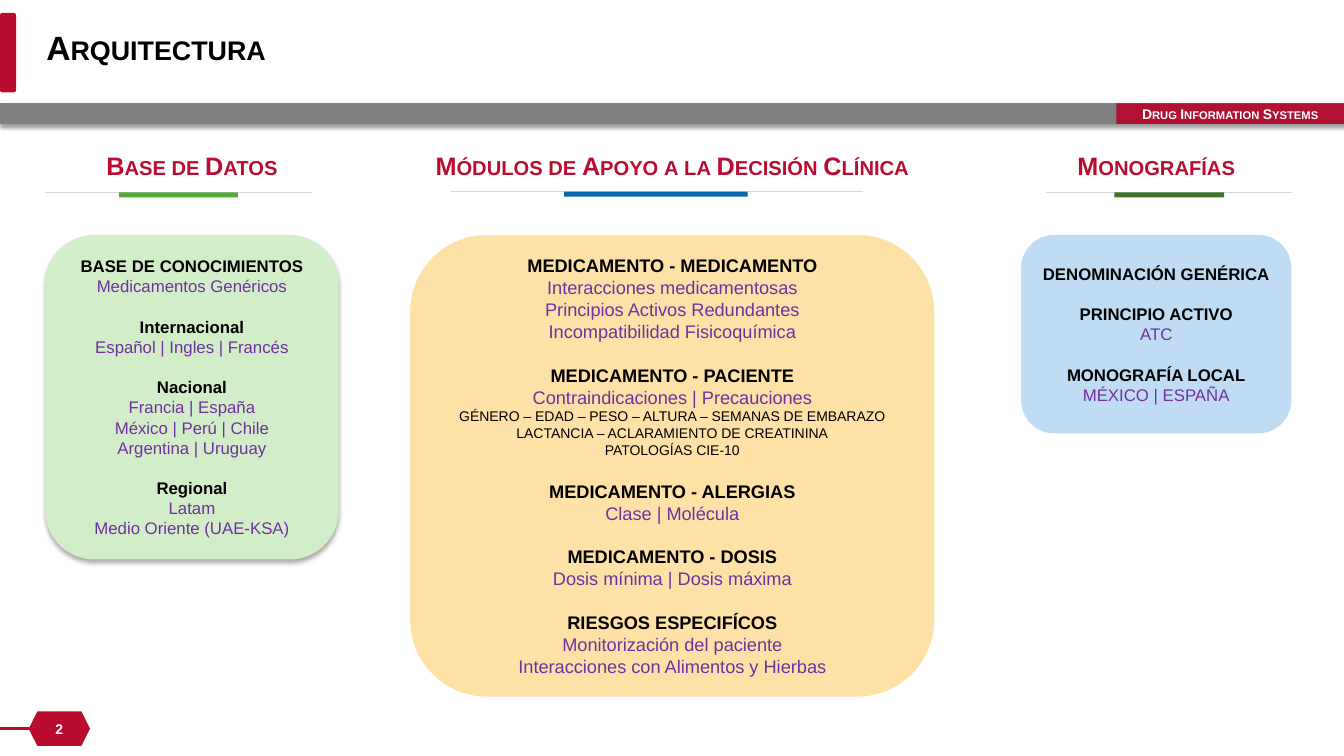
from pptx import Presentation
from pptx.dml.color import RGBColor
from pptx.enum.shapes import MSO_CONNECTOR as Connector, MSO_SHAPE as Shape
from pptx.enum.text import MSO_ANCHOR as Anchor, PP_ALIGN as Align
from pptx.oxml import parse_xml
from pptx.oxml.ns import nsdecls
from pptx.util import Pt

RED, BLACK, WHITE, PURPLE = "BA0C2F", "000000", "FFFFFF", "7030A0"
GRAY, LIGHT_GRAY, LABEL_RED = "808080", "D9D9D9", "B11133"
COLUMN_TOP = 167.8

# Each group: bold heading, purple entries, small black details.
DATABASE = [
    ("BASE DE CONOCIMIENTOS", ["Medicamentos Genéricos"], []),
    ("Internacional", ["Español | Ingles | Francés"], []),
    ("Nacional", ["Francia | España", "México | Perú | Chile", "Argentina | Uruguay"], []),
    ("Regional", ["Latam", "Medio Oriente (UAE-KSA)"], []),
]
MODULES = [
    ("MEDICAMENTO - MEDICAMENTO",
     ["Interacciones medicamentosas", "Principios Activos Redundantes",
      "Incompatibilidad Fisicoquímica"], []),
    ("MEDICAMENTO - PACIENTE", ["Contraindicaciones | Precauciones"],
     ["GÉNERO – EDAD – PESO – ALTURA – SEMANAS DE EMBARAZO",
      "LACTANCIA – ACLARAMIENTO DE CREATININA", "PATOLOGÍAS CIE-10"]),
    ("MEDICAMENTO - ALERGIAS", ["Clase | Molécula"], []),
    ("MEDICAMENTO - DOSIS", ["Dosis mínima | Dosis máxima"], []),
    ("RIESGOS ESPECIFÍCOS",
     ["Monitorización del paciente", "Interacciones con Alimentos y Hierbas"], []),
]
MONOGRAPHS = [
    ("DENOMINACIÓN GENÉRICA", [], []),
    ("PRINCIPIO ACTIVO", ["ATC"], []),
    ("MONOGRAFÍA LOCAL", ["MÉXICO | ESPAÑA"], []),
]
# Title, left, width, height, fill, text size, groups, box shadow,
# then the rule: left, width, top, and the accent: left, width, colour.
COLUMNS = [
    ("Base de Datos", 32.4, 209.5, 231.8, "D2EEC9", 12, DATABASE, (32, 3.5, 2.2),
     (32.4, 190.8, 137.4), (85, 85, "53AA37")),
    ("Módulos de Apoyo a la Decisión Clínica", 293, 374.4, 329.8, "FEE1A6", 13, MODULES, None,
     (321.3, 295, 136.8), (403, 131, "0768A9")),
    ("Monografías", 729.4, 193, 141.8, "C0DCF4", 12, MONOGRAPHS, None,
     (747.4, 175.6, 137.4), (796, 78.5, "397626")),
]


def color(value):
    return RGBColor.from_string(value)


def effects(shadow=None):
    """Effect list, empty or with a downward shadow of (opacity %, blur, distance)."""
    outer = ""
    if shadow:
        opacity, blur, distance = shadow
        outer = (f'<a:outerShdw blurRad="{Pt(blur)}" dist="{Pt(distance)}" dir="5400000" '
                 f'rotWithShape="0"><a:srgbClr val="{BLACK}"><a:alpha val="{opacity * 1000}"/>'
                 '</a:srgbClr></a:outerShdw>')
    return parse_xml(f'<a:effectLst {nsdecls("a")}>{outer}</a:effectLst>')


class Board:
    font = "Arial"
    line_ratio = 1.2

    def __init__(self, slide):
        self.slide = slide

    def line(self, left, right, y, line_color, width, shadow=None):
        connector = self.slide.shapes.add_connector(
            Connector.STRAIGHT, Pt(left), Pt(y), Pt(right), Pt(y))
        connector.line.color.rgb = color(line_color)
        connector.line.width = Pt(width)
        connector._element.spPr.append(effects(shadow))

    def block(self, kind, left, top, width, height, fill, shadow=None):
        shape = self.slide.shapes.add_shape(kind, Pt(left), Pt(top), Pt(width), Pt(height))
        shape.fill.solid()
        shape.fill.fore_color.rgb = color(fill)
        shape.line.fill.background()
        if shadow:
            shape._element.spPr.append(effects(shadow))
        else:
            shape.shadow.inherit = False
        return shape

    def style(self, paragraph, size, text_color, bold=True, small_caps=False, align=Align.CENTER):
        paragraph.alignment = align
        for run in paragraph.runs:
            run.font.name = self.font
            run.font.size = Pt(size)
            run.font.bold = bold
            run.font.color.rgb = color(text_color)
            if small_caps:
                run._r.get_or_add_rPr().set("cap", "small")

    def label(self, shape, text, small_caps=False):
        frame = shape.text_frame
        frame.margin_left = frame.margin_right = frame.margin_top = frame.margin_bottom = 0
        frame.vertical_anchor = Anchor.MIDDLE
        frame.text = text
        self.style(frame.paragraphs[0], 10, WHITE, small_caps=small_caps)

    def heading(self, text, left, top, width, height, size, text_color,
                align=Align.CENTER, anchor=Anchor.TOP):
        box = self.slide.shapes.add_textbox(Pt(left), Pt(top), Pt(width), Pt(height))
        frame = box.text_frame
        frame.word_wrap = True
        frame.vertical_anchor = anchor
        frame.text = text
        self.style(frame.paragraphs[0], size, text_color, small_caps=True, align=align)

    def groups(self, shape, groups, size):
        """Fill a shape with groups of lines, one blank line height apart."""
        frame = shape.text_frame
        frame.word_wrap = True
        frame.vertical_anchor = Anchor.MIDDLE
        lines = []
        for title, entries, details in groups:
            lines.append((title, size, BLACK, True))
            lines += [(entry, size, PURPLE, False) for entry in entries]
            lines += [(detail, 10, BLACK, False) for detail in details]
        frame.text = "\n".join(text for text, *_ in lines)
        for index, (paragraph, line) in enumerate(zip(frame.paragraphs, lines)):
            _, text_size, text_color, bold = line
            self.style(paragraph, text_size, text_color, bold)
            if bold and index:
                paragraph.space_before = Pt(size * self.line_ratio)

    def column(self, title, left, width, height, fill, size, groups, shadow, rule, accent):
        self.heading(title, left, 103.7, width, 28.8, 18, RED)
        box = self.block(Shape.ROUNDED_RECTANGLE, left, COLUMN_TOP, width, height, fill, shadow)
        self.groups(box, groups, size)
        rule_left, rule_width, rule_top = rule
        accent_left, accent_width, accent_color = accent
        self.line(rule_left, rule_left + rule_width, rule_top, LIGHT_GRAY, 0.75)
        self.block(Shape.RECTANGLE, accent_left, rule_top, accent_width, 3.6, accent_color)


def main():
    presentation = Presentation()
    presentation.slide_width, presentation.slide_height = Pt(960), Pt(540)
    board = Board(presentation.slides.add_slide(presentation.slide_layouts[6]))

    board.line(0, 960, 81.2, GRAY, 15, shadow=(38, 3.1, 1.6))
    system_label = board.block(Shape.RECTANGLE, 797.5, 73.8, 162.5, 14.7, LABEL_RED)
    board.label(system_label, "Drug Information Systems", small_caps=True)
    board.line(0, 20.5, 520.4, RED, 1.5)
    page_number = board.block(Shape.HEXAGON, 20.5, 508.2, 43.8, 24.6, RED)
    board.label(page_number, "2")
    board.block(Shape.ROUNDED_RECTANGLE, 0, 9.2, 11.5, 56.8, RED)
    board.heading("Arquitectura", 26, 8, 828, 52, 24, BLACK, Align.LEFT, Anchor.MIDDLE)

    for column in COLUMNS:
        board.column(*column)
    presentation.save("out.pptx")


if __name__ == "__main__":
    main()
